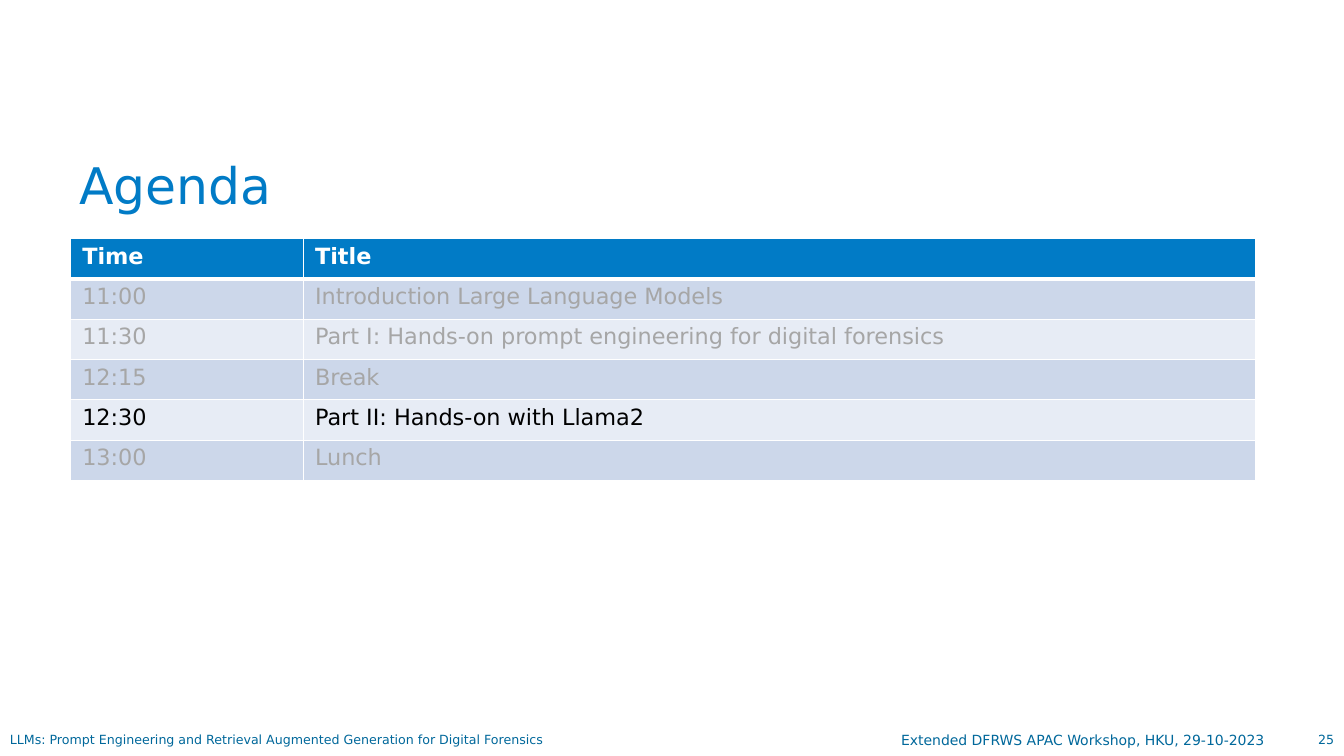
from lxml import etree
from pptx import Presentation
from pptx.dml.color import RGBColor
from pptx.enum import text as t
from pptx.oxml import ns
from pptx.util import Pt

FONT = "DejaVu Sans"
BLUE = RGBColor(0x01, 0x7B, 0xC6)
DARK_BLUE = RGBColor(0x01, 0x68, 0x9B)
WHITE = RGBColor(0xFF, 0xFF, 0xFF)
BLACK = RGBColor(0, 0, 0)
GREY = RGBColor(0xA6, 0xA6, 0xA6)
BANDS = (RGBColor(0xE7, 0xEC, 0xF5), RGBColor(0xCC, 0xD7, 0xEA))

AGENDA = [
    ("Time", "Title"),
    ("11:00", "Introduction Large Language Models"),
    ("11:30", "Part I: Hands-on prompt engineering for digital forensics"),
    ("12:15", "Break"),
    ("12:30", "Part II: Hands-on with Llama2"),
    ("13:00", "Lunch"),
]
CURRENT_ROW = 4
COLUMN_WIDTHS = (166.3, 680.4)
ROW_HEIGHT = 28.8
FOOTER_TOP, FOOTER_HEIGHT = 519.1, 20.9


def write_text(frame, content, size, color, bold=False, align=t.PP_ALIGN.LEFT, spacing=1.0):
    """Write one formatted paragraph into a text frame."""
    paragraph = frame.paragraphs[0]
    paragraph.alignment = align
    paragraph.line_spacing = spacing
    run = paragraph.add_run()
    run.text = content
    run.font.name = FONT
    run.font.size = Pt(size)
    run.font.bold = bold
    run.font.color.rgb = color


def add_text(slide, content, box, anchor=t.MSO_ANCHOR.TOP, **text_format):
    """Add a wrapping text box; box is left, top, width, height in points."""
    frame = slide.shapes.add_textbox(*map(Pt, box)).text_frame
    frame.word_wrap = True
    frame.vertical_anchor = anchor
    write_text(frame, content, **text_format)


def set_borders(cell, **widths):
    """Draw white borders; keys are L, R, T, B and values are points."""
    properties = cell._tc.get_or_add_tcPr()
    for side, width in widths.items():
        line = etree.SubElement(properties, ns.qn(f"a:ln{side}"), w=str(Pt(width)))
        fill = etree.SubElement(line, ns.qn("a:solidFill"))
        etree.SubElement(fill, ns.qn("a:srgbClr"), val=str(WHITE))


def add_agenda(slide, left, top):
    """Add the agenda table with the current session highlighted."""
    table = slide.shapes.add_table(
        len(AGENDA), len(COLUMN_WIDTHS), Pt(left), Pt(top),
        Pt(sum(COLUMN_WIDTHS)), Pt(ROW_HEIGHT * len(AGENDA))).table
    for column, width in zip(table.columns, COLUMN_WIDTHS):
        column.width = Pt(width)
    for index, entries in enumerate(AGENDA):
        table.rows[index].height = Pt(ROW_HEIGHT)
        header = index == 0
        color = WHITE if header else BLACK if index == CURRENT_ROW else GREY
        for column, content in enumerate(entries):
            cell = table.cell(index, column)
            cell.margin_left = cell.margin_right = Pt(8.4)
            cell.margin_top = cell.margin_bottom = Pt(3.6)
            set_borders(cell, L=1, R=1, T=3 if index == 1 else 1, B=3 if header else 1)
            cell.fill.solid()
            cell.fill.fore_color.rgb = BLUE if header else BANDS[index % 2]
            write_text(cell.text_frame, content, size=16, color=color, bold=header)


def add_footer(slide, content, left, width, **text_format):
    """Add a text box on the footer line."""
    add_text(slide, content, (left, FOOTER_TOP, width, FOOTER_HEIGHT),
             color=DARK_BLUE, **text_format)


def main():
    """Build and save the agenda slide."""
    presentation = Presentation()
    presentation.slide_width, presentation.slide_height = Pt(960), Pt(540)
    slide = presentation.slides.add_slide(presentation.slide_layouts[6])
    add_text(slide, "Agenda", (49.7, 82.8, 860.4, 74.9),
             anchor=t.MSO_ANCHOR.BOTTOM, size=36, color=BLUE, spacing=0.9)
    add_footer(slide, "LLMs: Prompt Engineering and Retrieval Augmented Generation "
               "for Digital Forensics", 0, 512, size=9)
    add_footer(slide, "25", 910.1, 49.9, size=9, align=t.PP_ALIGN.RIGHT)
    add_footer(slide, "Extended DFRWS APAC Workshop, HKU, 29-10-2023", 562.6, 347.5,
               size=10, align=t.PP_ALIGN.RIGHT)
    add_agenda(slide, 50.4, 170.4)
    presentation.save("out.pptx")


if __name__ == "__main__":
    main()
